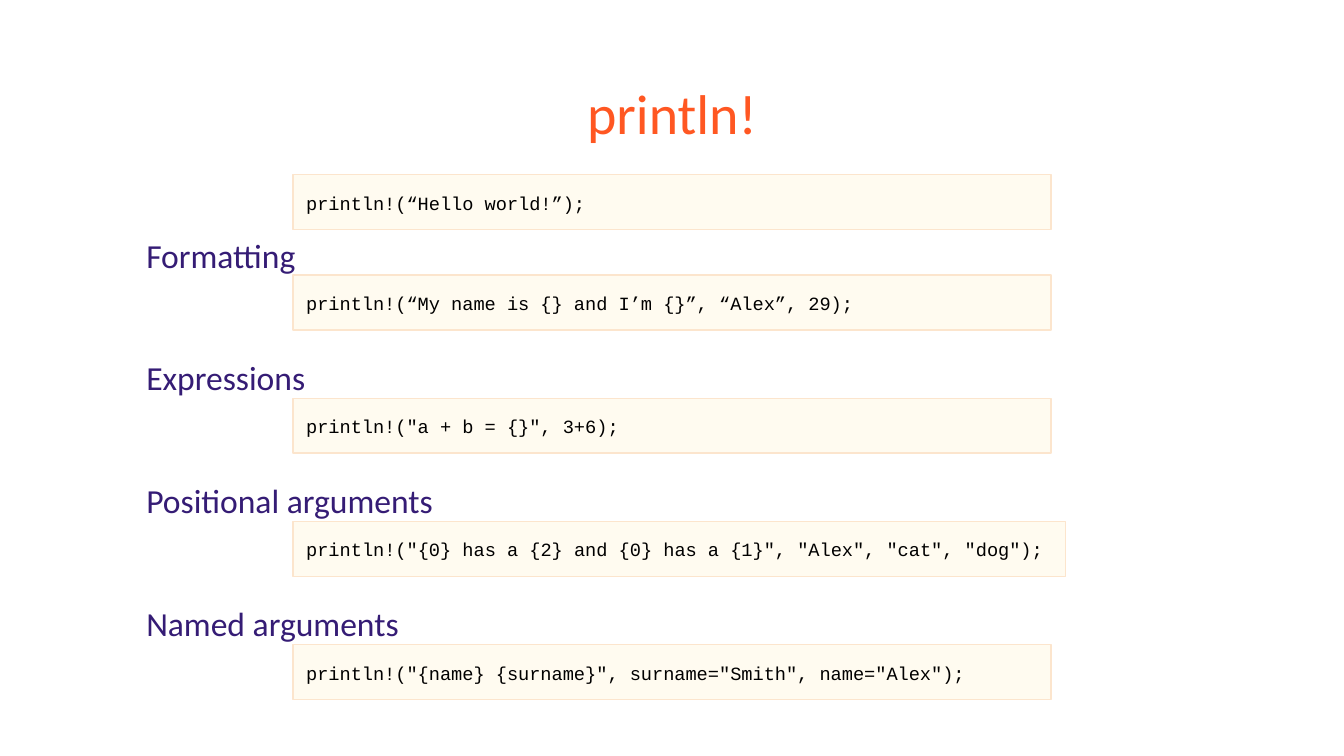
from pptx import Presentation
from pptx.dml.color import RGBColor
from pptx.enum.shapes import MSO_SHAPE as Shape
from pptx.enum.text import MSO_ANCHOR as Anchor, PP_ALIGN as Align
from pptx.util import Inches, Pt

WIDTH = 10
HEIGHT = WIDTH * 9 / 16
COLORS = {
    "title": "FF5722",
    "heading": "351C75",
    "code": "000000",
    "code_fill": "FFFBF0",
    "code_line": "FCE5CD",
}


class SlideBuilder:
    """Style and current slide; places are percentages of the slide's size."""

    text_font, code_font = "Calibri", "Courier New"
    title_size, heading_size, code_size = 30, 18, 10
    inset, line_spacing = 0.1, 1.15

    def __init__(self, slide):
        self.slide = slide

    def place(self, left, top, width, height):
        return (Inches(WIDTH * left / 100), Inches(HEIGHT * top / 100),
                Inches(WIDTH * width / 100), Inches(HEIGHT * height / 100))

    def color(self, name):
        return RGBColor.from_string(COLORS[name])

    def prepare_frame(self, shape, top_inset=inset):
        frame = shape.text_frame
        frame.word_wrap = True
        frame.vertical_anchor = Anchor.TOP
        frame.margin_left = frame.margin_right = Inches(self.inset)
        frame.margin_top = Inches(top_inset)
        frame.margin_bottom = Inches(self.inset)
        return frame

    def add_run(self, paragraph, text, font, size, color):
        run = paragraph.add_run()
        run.text = text
        run.font.name = font
        run.font.size = Pt(size)
        run.font.color.rgb = self.color(color)

    def title(self, text, *box):
        shape = self.slide.shapes.add_textbox(*self.place(*box))
        paragraph = self.prepare_frame(shape).paragraphs[0]
        paragraph.alignment = Align.CENTER
        self.add_run(paragraph, text, self.text_font, self.title_size, "title")

    def headings(self, texts, top_inset, gap, *box):
        shape = self.slide.shapes.add_textbox(*self.place(*box))
        frame = self.prepare_frame(shape, top_inset)
        for index, text in enumerate(texts):
            paragraph = frame.add_paragraph() if index else frame.paragraphs[0]
            paragraph.line_spacing = self.line_spacing
            paragraph.space_before = Pt(gap if index else 0)
            self.add_run(paragraph, text, self.text_font, self.heading_size, "heading")

    def code(self, text, *box):
        shape = self.slide.shapes.add_shape(Shape.RECTANGLE, *self.place(*box))
        shape.shadow.inherit = False
        shape.fill.solid()
        shape.fill.fore_color.rgb = self.color("code_fill")
        shape.line.color.rgb = self.color("code_line")
        shape.line.width = Pt(0.75)
        paragraph = self.prepare_frame(shape).paragraphs[0]
        paragraph.alignment = Align.LEFT
        paragraph.line_spacing = self.line_spacing
        self.add_run(paragraph, text, self.code_font, self.code_size, "code")


def main():
    presentation = Presentation()
    presentation.slide_width = Inches(WIDTH)
    presentation.slide_height = Inches(HEIGHT)
    builder = SlideBuilder(presentation.slides.add_slide(presentation.slide_layouts[6]))

    # Title
    builder.title("println!", 3.4, 8.65, 93.2, 11.2)

    # Section headings, spaced to sit above their examples
    examples = {
        "Formatting": "println!(“My name is {} and I’m {}”, “Alex”, 29);",
        "Expressions": 'println!("a + b = {}", 3+6);',
        "Positional arguments":
            'println!("{0} has a {2} and {0} has a {1}", "Alex", "cat", "dog");',
        "Named arguments":
            'println!("{name} {surname}", surname="Smith", name="Alex");',
    }
    builder.headings(examples, 0.44, 41, 9.9, 22.4, 80, 66.5)

    # Code boxes: the opening line, then one per heading
    code_left, code_width, code_height = 21.8, 56.4, 7.25
    first_row, row_step = 36.4, 16.3
    builder.code("println!(“Hello world!”);", code_left, 23.1, code_width, code_height)
    for row, (heading, text) in enumerate(examples.items()):
        width = 57.5 if heading == "Positional arguments" else code_width
        builder.code(text, code_left, first_row + row * row_step, width, code_height)

    presentation.save("out.pptx")


if __name__ == "__main__":
    main()
